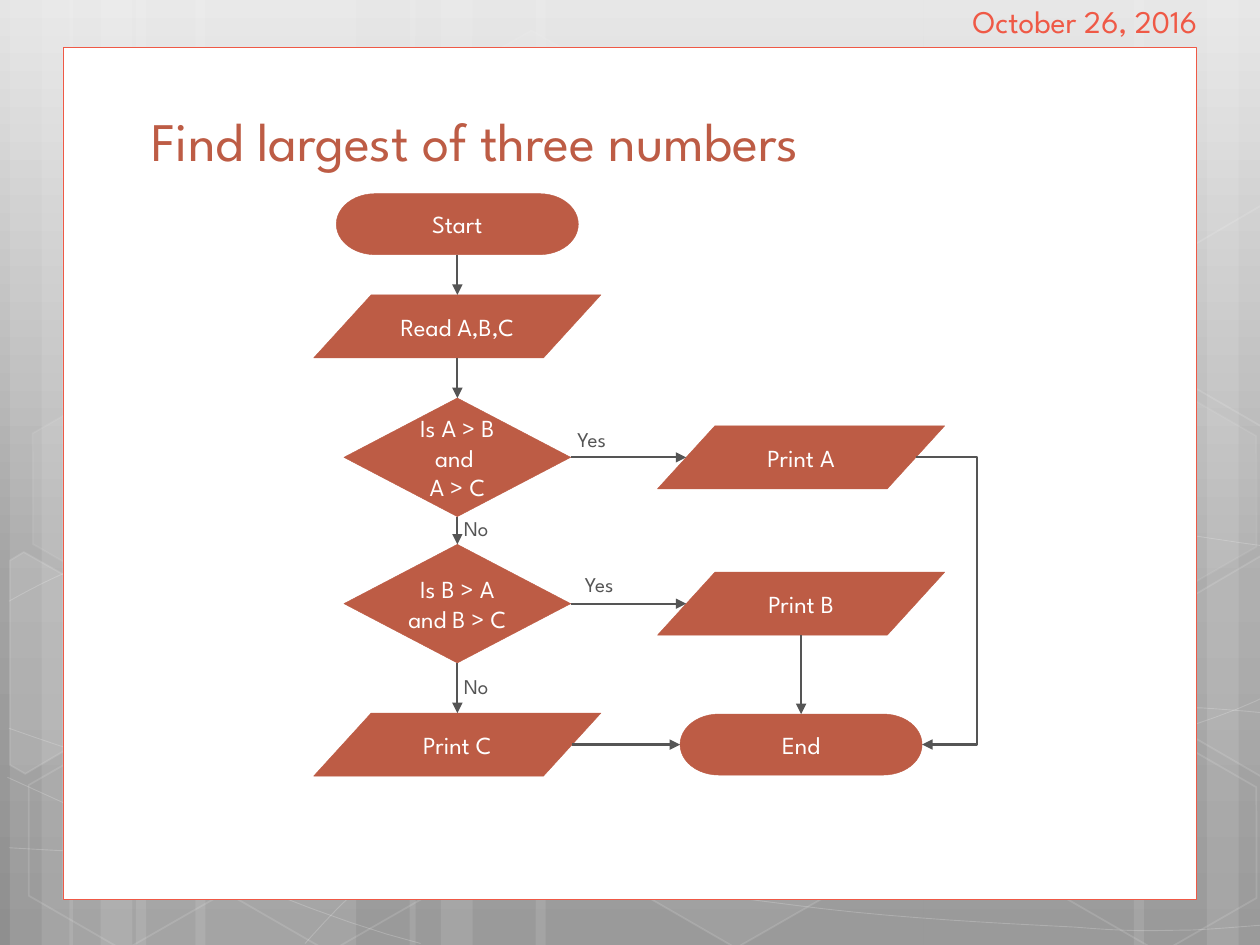
"""Build a flowchart slide that finds the largest of three numbers."""
from lxml.etree import SubElement
from pptx import Presentation
from pptx.dml.color import RGBColor
from pptx.enum.shapes import MSO_CONNECTOR as Link, MSO_SHAPE as Preset
from pptx.enum.text import MSO_ANCHOR as Anchor, MSO_AUTO_SIZE as AutoSize, PP_ALIGN as Align
from pptx.oxml import parse_xml
from pptx.oxml.ns import nsdecls, qn
from pptx.util import Cm, Pt

FONT = "League Spartan"
COLORS = {"node": "BD5C45", "accent": "EF5946", "ink": "555555", "white": "FFFFFF"}
SKY = [(0, "E5E5E5"), (62, "A3A3A3"), (100, "8F8F8F")]

COLUMNS = {"main": 9.22, "output": 16.15}
ROWS = {"start": 4.52, "read": 6.58, "first": 9.22, "second": 12.17, "last": 15.01}
KINDS = {
    "terminal": (Preset.FLOWCHART_TERMINATOR, 4.88, 1.23, 0),
    "data": (Preset.FLOWCHART_DATA, 5.79, 1.27, 0.1),
    "decision": (Preset.FLOWCHART_DECISION, 4.57, 2.39, 0),
}
STEPS = {
    "start": ("terminal", "main", "start", ["Start"]),
    "read": ("data", "main", "read", ["Read A,B,C"]),
    "a largest": ("decision", "main", "first", ["Is A > B and ", "A > C"]),
    "b largest": ("decision", "main", "second", ["Is B > A and B > C"]),
    "print a": ("data", "output", "first", ["Print A"]),
    "print b": ("data", "output", "second", ["Print B"]),
    "print c": ("data", "main", "last", ["Print C"]),
    "end": ("terminal", "output", "last", ["End"]),
}
FLOWS = [("start", "read"), ("read", "a largest"), ("a largest", "print a"),
         ("a largest", "b largest"), ("b largest", "print b"),
         ("b largest", "print c"), ("print b", "end"), ("print c", "end")]
ANSWERS = [("Yes", 11.51, 8.46), ("No", 9.22, 10.26), ("Yes", 11.66, 11.4), ("No", 9.22, 13.44)]
DETOUR_X = 19.69

BANDS = [(2.74, 4.44), (0.2, 1.27), (0.84, 2.11), (3.94, 4.44), (1.4, 1.27), (2.03, 2.11),
         (18.62, 4.44), (24.33, 1.27), (22.86, 2.11), (10.8, 7.82), (8.26, 1.27), (8.89, 2.11)]
CURVES = [
    [(.18, 17.09), (1.55, 17.17), (2.92, 17.25), (4.83, 17.22), (6.73, 17.2), (9.09, 17.15),
     (11.63, 16.89), (14.17, 16.64), (17.78, 16.15), (20.12, 15.67), (22.43, 15.19),
     (24.82, 14.43), (25.58, 14)],
    [(.18, 12.12), (.91, 11.71), (1.65, 11.33), (3.07, 10.95), (4.52, 10.57), (6.58, 10.06),
     (8.81, 9.83), (11.07, 9.65), (13.82, 9.63), (16.61, 9.83), (19.41, 10.03),
     (24.05, 10.82), (25.58, 11.02)],
    [(.15, 15.67), (3.23, 17.07), (6.27, 18.47), (8.48, 19.02)],
    [(.18, 14.68), (.97, 14.96), (1.78, 15.24), (3.25, 15.65), (4.72, 16.03), (6.93, 16.66),
     (9.07, 17.09), (11.18, 17.53), (13.84, 17.98), (15.95, 18.24), (18.06, 18.52),
     (20.32, 18.62), (21.67, 18.69), (22.99, 18.8), (23.34, 18.75), (24, 18.75),
     (24.66, 18.72), (25.12, 18.67), (25.58, 18.64)],
    [(6.15, 19.02), (6.6, 18.52), (7.06, 18.01), (7.67, 17.55), (8.28, 17.09), (9.14, 16.59),
     (9.86, 16.23), (10.57, 15.88), (11, 15.72), (11.94, 15.47), (12.85, 15.21),
     (14.55, 14.86), (15.44, 14.68), (16.36, 14.5), (16.48, 14.5), (17.27, 14.45),
     (18.06, 14.38), (19.3, 14.3), (20.17, 14.27), (21.06, 14.25), (22.5, 14.27),
     (22.5, 14.27), (23.07, 14.27), (23.64, 14.27), (24.21, 14.27), (24.66, 14.3),
     (25.1, 14.33), (25.55, 14.38)],
]
HEXAGONS = [(8.48, .91, 4, 8), (12.62, 14.96, 6, 12), (.28, 15.01, None, 12),
            (.36, 7.92, 7, 8), (4.42, 15.04, None, 12), (19.13, 11.51, 10, 12),
            (21.18, 15.06, None, 12), (21.18, 7.98, 7, 8)]
CUT_HEXAGONS = [
    ([(.2, 11.3), (.48, 11.13), (2.44, 12.24), (2.41, 14.48), (.51, 15.6), (.2, 15.42)], 10, 12),
    ([(23.52, 12.32), (25.43, 11.2), (25.63, 11.33), (25.63, 15.57), (25.45, 15.67),
      (23.52, 14.55)], 4, 12),
    ([(23.52, 5.26), (25.43, 4.14), (25.65, 4.27), (25.63, 8.51), (25.45, 8.61),
      (23.52, 7.49)], None, 12),
]

deck = Presentation()
deck.slide_width, deck.slide_height = Cm(25.4), Cm(19.05)
slide = deck.slides.add_slide(deck.slide_layouts[5])
shapes = slide.shapes


def fade(parent, percent):
    """Make the solid colour below parent translucent."""
    color = parent.find(f"{qn('a:solidFill')}/{qn('a:srgbClr')}")
    SubElement(color, qn("a:alpha"), val=str(percent * 1000))


def paint(shape, fill=None, line=None, width=1.0, fill_alpha=None, line_alpha=None):
    """Set fill and line, and drop the shadow."""
    shape.shadow.inherit = False
    if fill:
        shape.fill.solid()
        shape.fill.fore_color.rgb = RGBColor.from_string(COLORS[fill])
        if fill_alpha:
            fade(shape.element.spPr, fill_alpha)
    else:
        shape.fill.background()
    if line:
        stroke(shape, line, width)
        if line_alpha:
            fade(shape.element.spPr.find(qn("a:ln")), line_alpha)
    else:
        shape.line.fill.background()
    return shape


def stroke(shape, color, width, arrow=False):
    """Colour a line and optionally give its end an arrowhead."""
    shape.line.color.rgb = RGBColor.from_string(COLORS[color])
    shape.line.width = Pt(width)
    if arrow:
        SubElement(shape.element.spPr.find(qn("a:ln")), qn("a:tailEnd"), type="triangle")


def outline(points, close):
    """Draw straight segments through points in centimetres."""
    first, *rest = [(Cm(x), Cm(y)) for x, y in points]
    builder = shapes.build_freeform(*first, scale=1.0)
    builder.add_line_segments(rest, close=close)
    return builder.convert_to_shape()


def smooth(points, steps=10):
    """Sample a chain of cubic curves."""
    samples = [points[0]]
    for i in range(0, len(points) - 1, 3):
        for t in (n / steps for n in range(1, steps + 1)):
            weights = (1 - t) ** 3, 3 * t * (1 - t) ** 2, 3 * t * t * (1 - t), t ** 3
            samples.append(tuple(sum(w * p[axis] for w, p in zip(weights, points[i:i + 4]))
                                 for axis in (0, 1)))
    return samples


def write(shape, lines, size=14, color="white", align=Align.LEFT, anchor=Anchor.TOP):
    """Fill a shape with formatted paragraphs."""
    frame = shape.text_frame
    frame.auto_size, frame.word_wrap, frame.vertical_anchor = AutoSize.NONE, True, anchor
    frame.margin_left = frame.margin_right = frame.margin_top = frame.margin_bottom = Cm(0.13)
    frame.text = "\n".join(lines)
    for paragraph in frame.paragraphs:
        paragraph.alignment = align
        font = paragraph.runs[0].font
        font.name, font.size = FONT, Pt(size)
        font.color.rgb = RGBColor.from_string(COLORS[color])


def edge(step, dx, dy):
    """Return the point on a step's border in the given direction."""
    kind, column, row, _ = STEPS[step]
    _, width, height, slant = KINDS[kind]
    return COLUMNS[column] + dx * width * (0.5 - slant), ROWS[row] + dy * height / 2


stops = "".join(f'<a:gs pos="{pos * 1000}"><a:srgbClr val="{color}"/></a:gs>' for pos, color in SKY)
slide.element.cSld.insert(0, parse_xml(
    f'<p:bg {nsdecls("p", "a")}><p:bgPr><a:gradFill rotWithShape="1"><a:gsLst>{stops}</a:gsLst>'
    '<a:lin ang="5400000" scaled="0"/></a:gradFill><a:effectLst/></p:bgPr></p:bg>'))

for left, width in BANDS:
    band = shapes.add_shape(Preset.RECTANGLE, Cm(left), 0, Cm(width), deck.slide_height)
    paint(band, "white", fill_alpha=10)
for curve in CURVES:
    paint(outline(smooth(curve), False), line="white", width=0.5, line_alpha=20)
for left, top, fill_alpha, line_alpha in HEXAGONS:
    hexagon = shapes.add_shape(Preset.HEXAGON, Cm(left), Cm(top), Cm(4.45), Cm(3.86))
    hexagon.adjustments[0] = 0.29
    hexagon.rotation = 30
    paint(hexagon, fill_alpha and "white", "white", 1, fill_alpha, line_alpha)
for corners, fill_alpha, line_alpha in CUT_HEXAGONS:
    paint(outline(corners, True), fill_alpha and "white", "white", 1, fill_alpha, line_alpha)

panel = shapes.add_shape(Preset.RECTANGLE, Cm(1.27), Cm(0.96), Cm(22.86), Cm(17.17))
paint(panel, "white", "accent", 0.5)

title = shapes.title
title.left, title.top, title.width, title.height = Cm(2.92), Cm(2.01), Cm(19.94), Cm(1.6)
write(title, ["Find largest of three numbers"], size=31, color="node", anchor=Anchor.BOTTOM)
panel.element.addnext(title.element)

date = shapes.add_textbox(Cm(19.48), Cm(-0.08), Cm(5.92), Cm(1.04))
write(date, ["October 26, 2016"], size=18, color="accent")

for kind, column, row, lines in STEPS.values():
    preset, width, height, _ = KINDS[kind]
    step = shapes.add_shape(preset, Cm(COLUMNS[column] - width / 2), Cm(ROWS[row] - height / 2),
                            Cm(width), Cm(height))
    paint(step, "node", "node", 0.25)
    write(step, lines, align=Align.CENTER, anchor=Anchor.MIDDLE)

for source, target in FLOWS:
    dx, dy = (0, 1) if STEPS[source][1] == STEPS[target][1] else (1, 0)
    ends = [Cm(v) for v in edge(source, dx, dy) + edge(target, -dx, -dy)]
    flow = shapes.add_connector(Link.STRAIGHT, *ends)
    stroke(flow, "ink", 1.25, arrow=True)
    SubElement(flow.element.spPr, qn("a:effectLst"))

leave, arrive = edge("print a", 1, 0), edge("end", 1, 0)
detour = paint(outline([leave, (DETOUR_X, leave[1]), (DETOUR_X, arrive[1]), arrive], False))
stroke(detour, "ink", 1.25, arrow=True)

for answer, left, top in ANSWERS:
    write(shapes.add_textbox(Cm(left), Cm(top), Cm(1.32), Cm(0.79)), [answer], size=12, color="ink")

deck.save("out.pptx")
